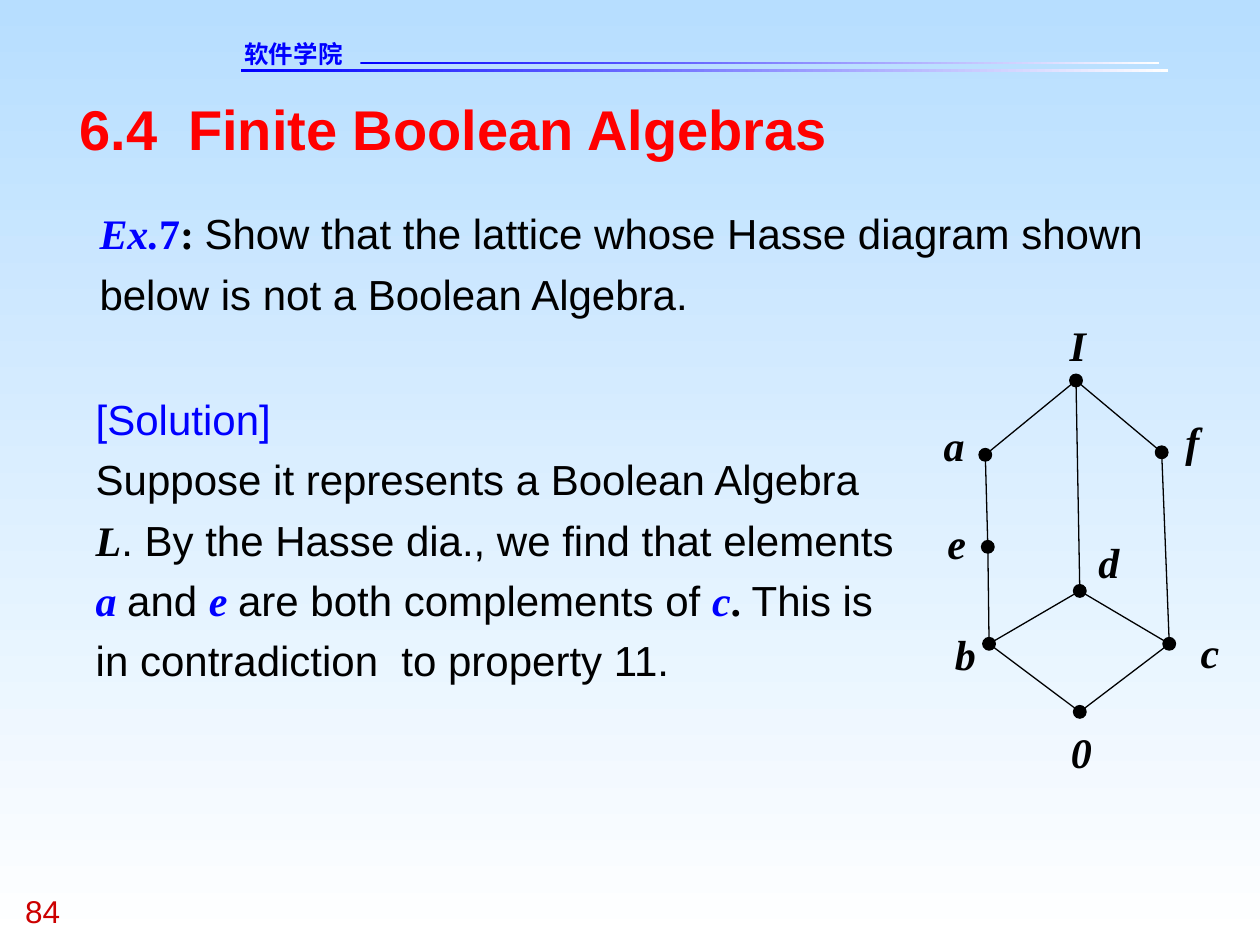
from dataclasses import dataclass
from math import hypot

from lxml import etree
from pptx import Presentation
from pptx import util as u
from pptx.dml.color import RGBColor
from pptx.enum import shapes, text
from pptx.oxml import ns

COLUMNS, ROWS = 100, 75
CELL = u.Inches(0.1)


@dataclass(frozen=True)
class Theme:
    sans: str = "Arial"
    serif: str = "Times New Roman"
    header_font: str = "DejaVu Sans"
    sky: str = "B7DEFF"
    white: str = "FFFFFF"
    blue: str = "0000FF"
    black: str = "000000"
    red: str = "FF0000"
    dark_red: str = "CC0000"
    title: int = 32
    body: int = 24
    number: int = 18
    header: int = 14
    line: float = 0.75
    spacing: float = 1.2


THEME = Theme()


@dataclass(frozen=True)
class Style:
    name: str = THEME.sans
    colour: str = THEME.black
    bold: bool = False
    italic: bool = False


PLAIN = Style()
BLUE = Style(colour=THEME.blue)
SYMBOL = Style(THEME.serif, bold=True, italic=True)
BLUE_SYMBOL = Style(THEME.serif, THEME.blue, True, True)
SERIF = Style(THEME.serif, bold=True)
BLUE_SERIF = Style(THEME.serif, THEME.blue, True)
TITLE = Style(colour=THEME.red, bold=True)
HEADER = Style(THEME.header_font, THEME.blue, True)
NUMBER = Style(colour=THEME.dark_red)

# Left, top, width, height in grid cells; colours fade from left to right
RULES = [(19.1, 5.5, 73.6, 0.2), (28.6, 4.9, 63.4, 0.2)]

EXERCISE = [[
    ("Ex.", BLUE_SYMBOL), ("7", BLUE_SERIF), (": ", SERIF),
    ("Show that the lattice whose Hasse diagram shown below is not a Boolean Algebra.", PLAIN),
]]
SOLUTION = [
    [("[Solution]", BLUE)],
    [
        ("Suppose it represents a Boolean Algebra", PLAIN), (" L", SYMBOL),
        (". By the Hasse dia., we find that elements ", PLAIN),
        ("a ", BLUE_SYMBOL), ("and ", PLAIN), ("e ", BLUE_SYMBOL),
        ("are both complements of ", PLAIN), ("c", BLUE_SYMBOL), (". ", SERIF),
        ("This is in contradiction  to property 11.", PLAIN),
    ],
]

RADIUS = 0.5
LABEL_HEIGHT = 5
# Element: (dot centre, label left and top, label width)
ELEMENTS = {
    "I": ((85.4, 30.2), (83.9, 24.9), 3.3),
    "a": ((78.2, 36.1), (73.9, 32.8), 3.6),
    "f": ((92.2, 35.9), (93.1, 32.5), 3.1),
    "e": ((78.4, 43.4), (74.2, 40.6), 3.5),
    "d": ((85.7, 46.9), (86.2, 42.1), 3.6),
    "b": ((78.5, 51.1), (74.8, 49.4), 3.6),
    "c": ((92.8, 51.1), (94.3, 49.2), 3.5),
    "0": ((85.7, 56.5), (84, 57.2), 3.6),
}
EDGES = ["Ia", "ae", "eb", "b0", "If", "fc", "c0", "Id", "db", "dc"]


def cells(*lengths):
    return [round(length * CELL) for length in lengths]


def set_font(font, style, size=None):
    font.name, font.bold, font.italic = style.name, style.bold, style.italic
    font.color.rgb = RGBColor.from_string(style.colour)
    if size:
        font.size = u.Pt(size)


def fade(fill, colours, angle):
    fill.gradient()
    fill.gradient_angle = angle
    for stop, colour, position in zip(fill.gradient_stops, colours, (0, 1)):
        stop.color.rgb = RGBColor.from_string(colour)
        stop.position = position


def format_frame(frame, margins=(0, 0), wrap=True):
    frame.margin_left = frame.margin_right = u.Inches(margins[0])
    frame.margin_top = frame.margin_bottom = u.Inches(margins[1])
    frame.word_wrap = wrap
    frame.auto_size = text.MSO_AUTO_SIZE.SHAPE_TO_FIT_TEXT
    frame.vertical_anchor = text.MSO_ANCHOR.TOP


def add_label(parent, place, words, style, size, **frame_options):
    box = parent.shapes.add_textbox(*cells(*place))
    format_frame(box.text_frame, **frame_options)
    para = box.text_frame.paragraphs[0]
    para.text = words
    set_font(para.font, style, size)


def add_prose(page, place, paragraphs):
    """Add body text; each paragraph is a list of (words, style) spans."""
    frame = page.shapes.add_textbox(*cells(*place)).text_frame
    format_frame(frame)
    for index, spans in enumerate(paragraphs):
        para = frame.add_paragraph() if index else frame.paragraphs[0]
        para.line_spacing = THEME.spacing
        para.font.size = u.Pt(THEME.body)
        for words, style in spans:
            span = para.add_run()
            span.text = words
            set_font(span.font, style, THEME.body)


def add_title(page, place, words):
    title = page.shapes.title
    title.left, title.top, title.width, title.height = cells(*place)
    format_frame(title.text_frame)
    para = title.text_frame.paragraphs[0]
    para.text = words
    para.alignment = text.PP_ALIGN.LEFT
    set_font(para.font, TITLE, THEME.title)


def add_rule(page, place):
    rule = page.shapes.add_shape(shapes.MSO_SHAPE.RECTANGLE, *cells(*place))
    rule.shadow.inherit = False
    rule.line.fill.background()
    fade(rule.fill, (THEME.blue, THEME.white), 0)


def add_dot(group, x, y):
    place = cells(x - RADIUS, y - RADIUS, 2 * RADIUS, 2 * RADIUS)
    dot = group.shapes.add_shape(shapes.MSO_SHAPE.OVAL, *place)
    dot.shadow.inherit = False
    dot.fill.solid()
    dot.fill.fore_color.rgb = RGBColor.from_string(THEME.black)
    dot.line.color.rgb = RGBColor.from_string(THEME.black)
    dot.line.width = u.Pt(THEME.line)


def add_edge(group, start, end):
    """Join two dots from rim to rim."""
    (x1, y1), (x2, y2) = start, end
    share = RADIUS / hypot(x2 - x1, y2 - y1)
    dx, dy = (x2 - x1) * share, (y2 - y1) * share
    edge = group.shapes.add_connector(
        shapes.MSO_CONNECTOR.STRAIGHT, *cells(x1 + dx, y1 + dy, x2 - dx, y2 - dy))
    edge.line.color.rgb = RGBColor.from_string(THEME.black)
    edge.line.width = u.Pt(THEME.line)
    etree.SubElement(edge._element.spPr, ns.qn("a:effectLst"))


def add_hasse_diagram(page):
    group = page.shapes.add_group_shape()
    for centre, _, _ in ELEMENTS.values():
        add_dot(group, *centre)
    for lower, upper in EDGES:
        add_edge(group, ELEMENTS[lower][0], ELEMENTS[upper][0])
    for name, (_, corner, width) in ELEMENTS.items():
        add_label(group, (*corner, width, LABEL_HEIGHT), name, SYMBOL, THEME.body,
                  margins=(0.1, 0.05), wrap=False)


def main():
    deck = Presentation()
    deck.slide_width, deck.slide_height = cells(COLUMNS, ROWS)
    page = deck.slides.add_slide(deck.slide_layouts[5])
    fade(page.background.fill, (THEME.sky, THEME.white), 270)
    for place in RULES:
        add_rule(page, place)
    add_label(page, (19.4, 3.1, 14.5, 2.3), "软件学院", HEADER, THEME.header)
    add_label(page, (2, 70.8, 7.5, 3), "84", NUMBER, THEME.number)
    add_title(page, (6.3, 7.5, 87.5, 5.3), "6.4  Finite Boolean Algebras")
    add_prose(page, (7.9, 15.7, 87.6, 9.6), EXERCISE)
    add_hasse_diagram(page)
    add_prose(page, (7.6, 30.4, 64.1, 24), SOLUTION)
    deck.save("out.pptx")


if __name__ == "__main__":
    main()
